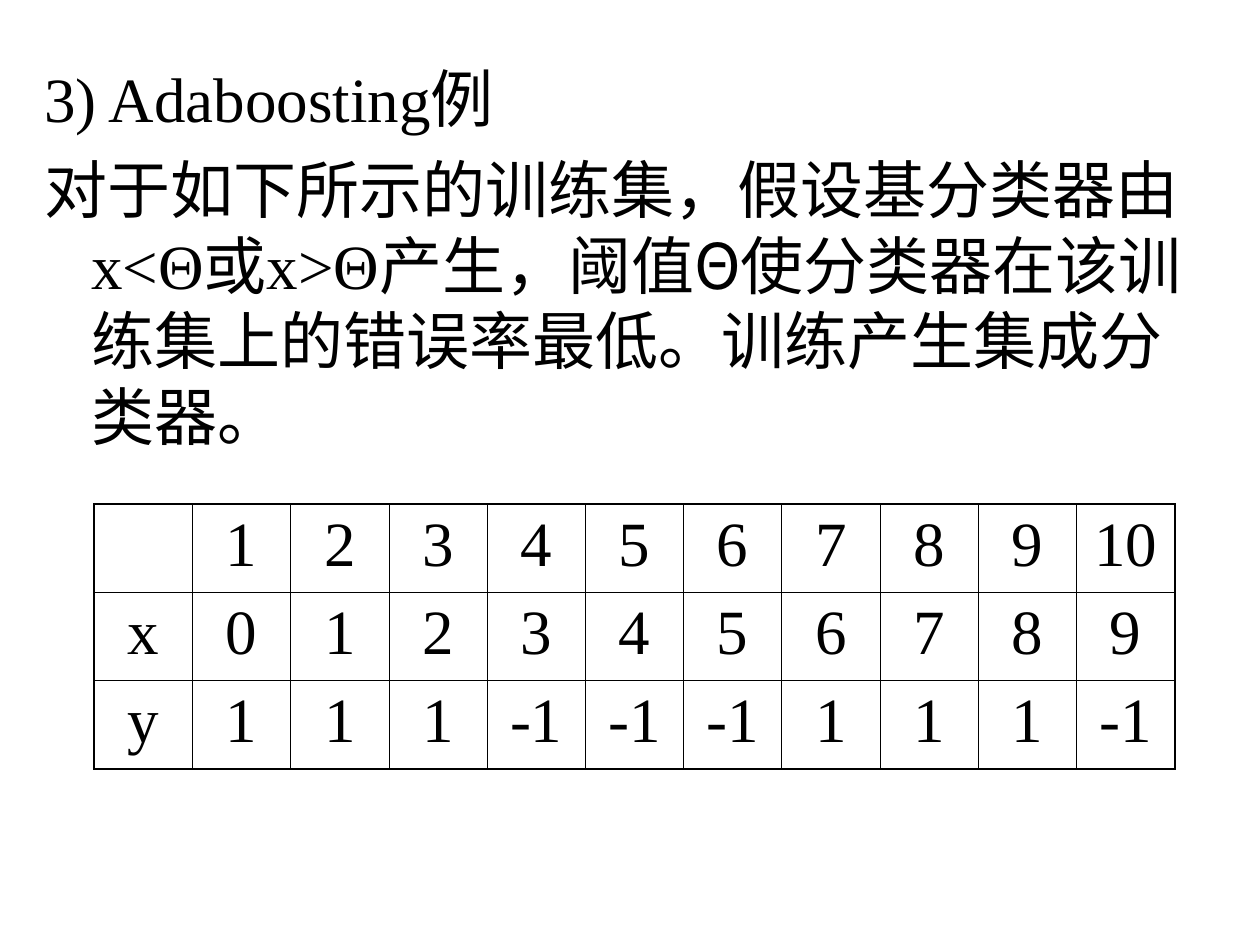
"""Build the Adaboosting example slide with its training set table."""
from lxml.etree import SubElement
from pptx import Presentation
from pptx.dml.color import RGBColor
from pptx.enum.text import PP_ALIGN as Align
from pptx.oxml.ns import qn
from pptx.util import Cm, Pt

BLACK = RGBColor(0, 0, 0)
SERIF, SANS, CJK = "Times New Roman", "Arial", "Noto Sans CJK SC"
SIZE, GAP = Pt(36), Pt(9)
THIN, THICK = Pt(0.45), Pt(1.08)

PARAGRAPHS = [
    [("3) Adaboosting例", SERIF)],
    [
        ("对于如下所示的训练集，假设基分类器由", SANS),
        ("x<Θ", SERIF),
        ("或", CJK),
        ("x>Θ", SERIF),
        ("产生，阈值Θ使分类器在该训练集上的错误率最低。训练产生集成分类器。", CJK),
    ],
]
ROWS = [
    ["", *range(1, 11)],
    ["x", *range(10)],
    ["y", 1, 1, 1, -1, -1, -1, 1, 1, 1, -1],
]
COL_W, ROW_H = Cm(1.98), Cm(1.78)


def style(p):
    p.space_before = GAP
    p.font.size = SIZE
    p.font.color.rgb = BLACK


def border(cell, side, width):
    ln = SubElement(cell._tc.get_or_add_tcPr(), qn(f"a:{side}"), w=str(width))
    fill = SubElement(ln, qn("a:solidFill"))
    SubElement(fill, qn("a:srgbClr"), val=str(BLACK))


prs = Presentation()
prs.slide_width, prs.slide_height = Cm(25.4), Cm(19.05)
s = prs.slides.add_slide(prs.slide_layouts[6])

tf = s.shapes.add_textbox(Cm(0.64), Cm(1.07), Cm(24.13), Cm(9.09)).text_frame
tf.word_wrap = True
for i, runs in enumerate(PARAGRAPHS):
    p = tf.add_paragraph() if i else tf.paragraphs[0]
    style(p)
    pPr = p._p.get_or_add_pPr()
    pPr.set("marL", str(Cm(0.95)))
    pPr.set("indent", str(-Cm(0.95)))
    for text, font in runs:
        r = p.add_run()
        r.text, r.font.name = text, font

n_rows, n_cols = len(ROWS), len(ROWS[0])
table = s.shapes.add_table(
    n_rows, n_cols, Cm(1.9), Cm(10.16), COL_W * n_cols, ROW_H * n_rows
).table
table.first_row = table.horz_banding = False
for i, row in enumerate(ROWS):
    table.rows[i].height = ROW_H
    for j, value in enumerate(row):
        table.columns[j].width = COL_W
        cell = table.cell(i, j)
        cell.text = str(value)
        p = cell.text_frame.paragraphs[0]
        style(p)
        p.font.name = SERIF
        p.alignment = Align.CENTER
        edges = {
            "lnL": j == 0,
            "lnR": j == n_cols - 1,
            "lnT": i == 0,
            "lnB": i == n_rows - 1,
        }
        for side, outer in edges.items():
            border(cell, side, THICK if outer else THIN)
        cell.fill.background()

prs.save("out.pptx")
